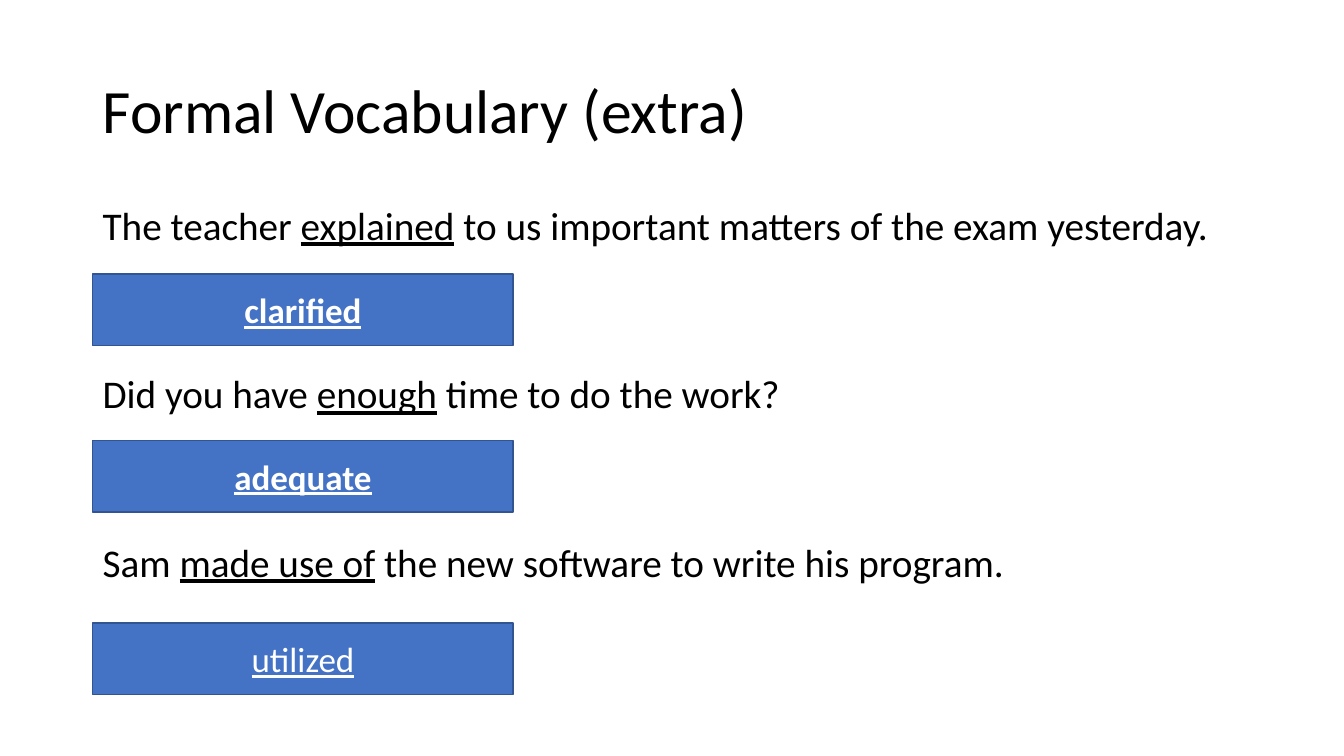
from pptx import Presentation
from pptx.dml.color import RGBColor
from pptx.enum.shapes import MSO_SHAPE as SHAPE
from pptx.enum.text import MSO_ANCHOR as ANCHOR, PP_ALIGN as ALIGN
from pptx.util import Inches, Pt

LEFT = 0.92
SENTENCES = [
    ("The teacher ", "explained", " to us important matters of the exam yesterday."),
    ("Did you have ", "enough", " time to do the work?"),
    ("Sam ", "made use of", " the new software to write his program."),
]
ANSWERS = [("clarified", 2.72, True), ("adequate", 4.37, True), ("utilized", 6.18, False)]


def rgb(value):
    return RGBColor.from_string(value)


def set_attrs(obj, values):
    for name, value in values.items():
        setattr(obj, name, value)


def add_run(p, text, size, color="000000", **formats):
    r = p.add_run()
    r.text = text
    set_attrs(r.font, {"name": "Calibri", "size": Pt(size), **formats})
    r.font.color.rgb = rgb(color)


def add_textbox(s, top, width, height, anchor):
    tf = s.shapes.add_textbox(*map(Inches, (LEFT, top, width, height))).text_frame
    set_attrs(tf, {"word_wrap": True, "vertical_anchor": anchor})
    return tf


def add_title(s, text):
    p = add_textbox(s, 0.4, 11.5, 1.45, ANCHOR.MIDDLE).paragraphs[0]
    p.line_spacing = 0.9
    add_run(p, text, 44)


def add_sentences(s, sentences):
    tf = add_textbox(s, 2, 11.9, 5.1, ANCHOR.TOP)
    for i, (before, keyword, after) in enumerate(sentences):
        p = tf.add_paragraph() if i else tf.paragraphs[0]
        set_attrs(p, {"line_spacing": 0.9, "space_before": Pt(90 if i else 10)})
        add_run(p, before, 28)
        add_run(p, keyword, 28, underline=True)
        add_run(p, after, 28)


def add_answer(s, text, top, bold):
    sp = s.shapes.add_shape(SHAPE.RECTANGLE, *map(Inches, (LEFT, top, 4.17, 0.71)))
    sp.shadow.inherit = False
    sp.fill.solid()
    sp.fill.fore_color.rgb = rgb("4472C4")
    sp.line.color.rgb = rgb("325491")
    sp.line.width = Pt(1)
    tf = sp.text_frame
    set_attrs(tf, {"word_wrap": True, "vertical_anchor": ANCHOR.MIDDLE})
    p = tf.paragraphs[0]
    p.alignment = ALIGN.CENTER
    add_run(p, text, 25, "FFFFFF", bold=bold, underline=True)


def main():
    prs = Presentation()
    set_attrs(prs, {"slide_width": Inches(13.33), "slide_height": Inches(7.5)})
    s = prs.slides.add_slide(prs.slide_layouts[6])
    add_title(s, "Formal Vocabulary (extra)")
    add_sentences(s, SENTENCES)
    for answer in ANSWERS:
        add_answer(s, *answer)
    prs.save("out.pptx")


if __name__ == "__main__":
    main()
